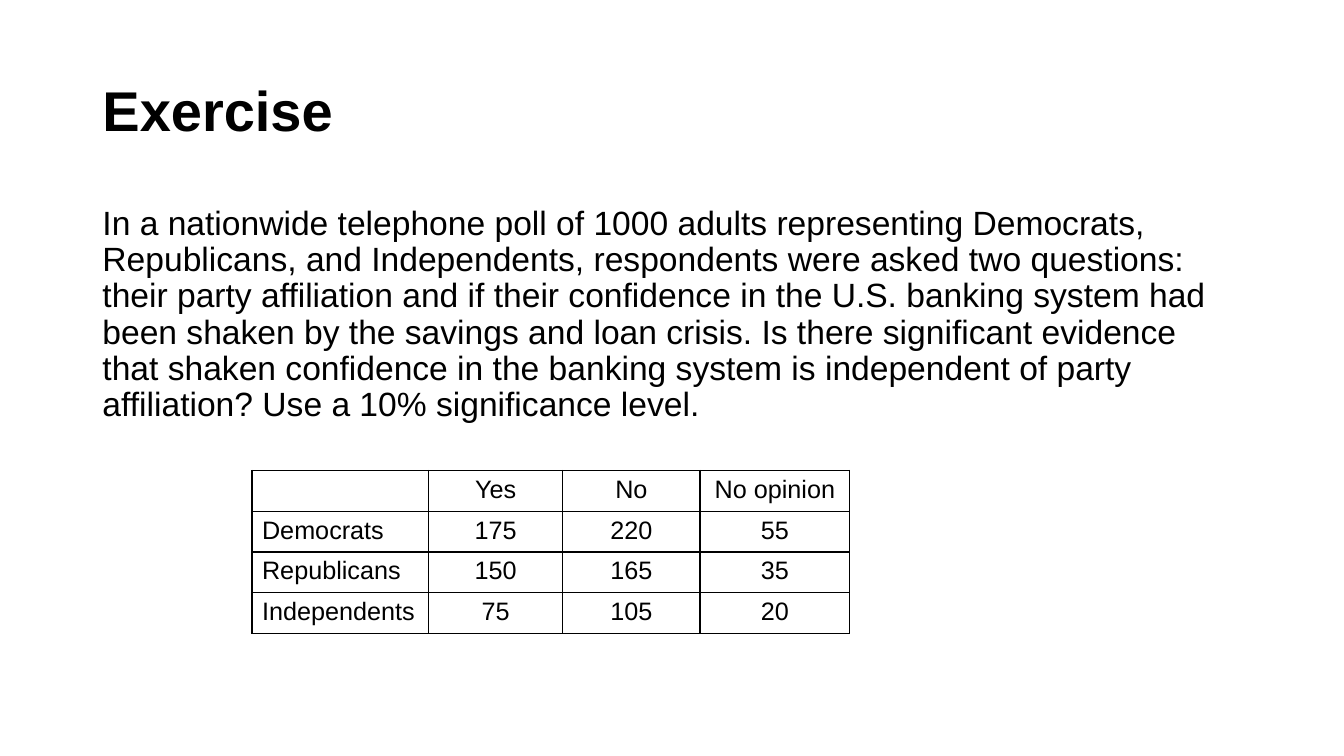
"""Build the exercise slide with its poll question and contingency table."""
from lxml.etree import SubElement
from pptx import Presentation
from pptx.dml.color import RGBColor
from pptx.enum.text import MSO_ANCHOR as ANCHOR, MSO_AUTO_SIZE as AUTO, PP_ALIGN as ALIGN
from pptx.oxml.ns import qn
from pptx.util import Pt

BLACK = RGBColor(0, 0, 0)
WHITE = RGBColor(255, 255, 255)

TITLE = "Exercise"
QUESTION = (
    "In a nationwide telephone poll of 1000 adults representing Democrats, "
    "Republicans, and Independents, respondents were asked two questions: "
    "their party affiliation and if their confidence in the U.S. banking system "
    "had been shaken by the savings and loan crisis. Is there significant evidence "
    "that shaken confidence in the banking system is independent of party "
    "affiliation? Use a 10% significance level."
)
POLL = [
    ("", "Yes", "No", "No opinion"),
    ("Democrats", 175, 220, 55),
    ("Republicans", 150, 165, 35),
    ("Independents", 75, 105, 20),
]
COL_WIDTHS = (126, 96, 98, 107)
ROW_HEIGHT = 29.16
TABLE_LEFT, TABLE_TOP = 180, 336
MARGIN, TEXT_WIDTH = 66, 828


def write(tf, text, size, bold=False, **layout):
    p = tf.paragraphs[0]
    for name, value in layout.items():
        setattr(p, name, value)
    r = p.add_run()
    r.text = str(text)
    font = {"name": "Arial", "size": Pt(size), "bold": bold}
    for name, value in font.items():
        setattr(r.font, name, value)
    r.font.color.rgb = BLACK
    return p


def place(sp, top, height, anchor):
    box = {"left": MARGIN, "top": top, "width": TEXT_WIDTH, "height": height}
    for name, value in box.items():
        setattr(sp, name, Pt(value))
    frame = {"word_wrap": True, "auto_size": AUTO.NONE, "vertical_anchor": anchor}
    for name, value in frame.items():
        setattr(sp.text_frame, name, value)
    return sp.text_frame


def add_borders(cell):
    props = cell._tc.get_or_add_tcPr()
    for side in "LRTB":
        ln = SubElement(props, qn(f"a:ln{side}"), w=str(Pt(1)))
        fill = SubElement(ln, qn("a:solidFill"))
        SubElement(fill, qn("a:srgbClr"), val=str(BLACK))


prs = Presentation()
prs.slide_width, prs.slide_height = Pt(960), Pt(540)
s = prs.slides.add_slide(prs.slide_layouts[1])

title, body = s.placeholders
write(place(title, 28.75, 104.4, ANCHOR.MIDDLE), TITLE, 40, True,
      alignment=ALIGN.LEFT, line_spacing=0.9)
p = write(place(body, 143.75, 342.6, ANCHOR.TOP), QUESTION, 24,
          alignment=ALIGN.LEFT, line_spacing=0.9, space_before=Pt(10))
props = p._p.get_or_add_pPr()
for name in ("marL", "indent"):
    props.set(name, "0")
SubElement(props, qn("a:buNone"))

table = s.shapes.add_table(
    len(POLL), len(COL_WIDTHS), Pt(TABLE_LEFT), Pt(TABLE_TOP),
    Pt(sum(COL_WIDTHS)), Pt(ROW_HEIGHT * len(POLL))).table
table.first_row = table.horz_banding = False
for column, width in zip(table.columns, COL_WIDTHS):
    column.width = Pt(width)
for i, values in enumerate(POLL):
    table.rows[i].height = Pt(ROW_HEIGHT)
    for j, value in enumerate(values):
        cell = table.cell(i, j)
        add_borders(cell)
        cell.fill.solid()
        cell.fill.fore_color.rgb = WHITE
        write(cell.text_frame, value, 18,
              alignment=ALIGN.CENTER if j else ALIGN.LEFT)

prs.save("out.pptx")
